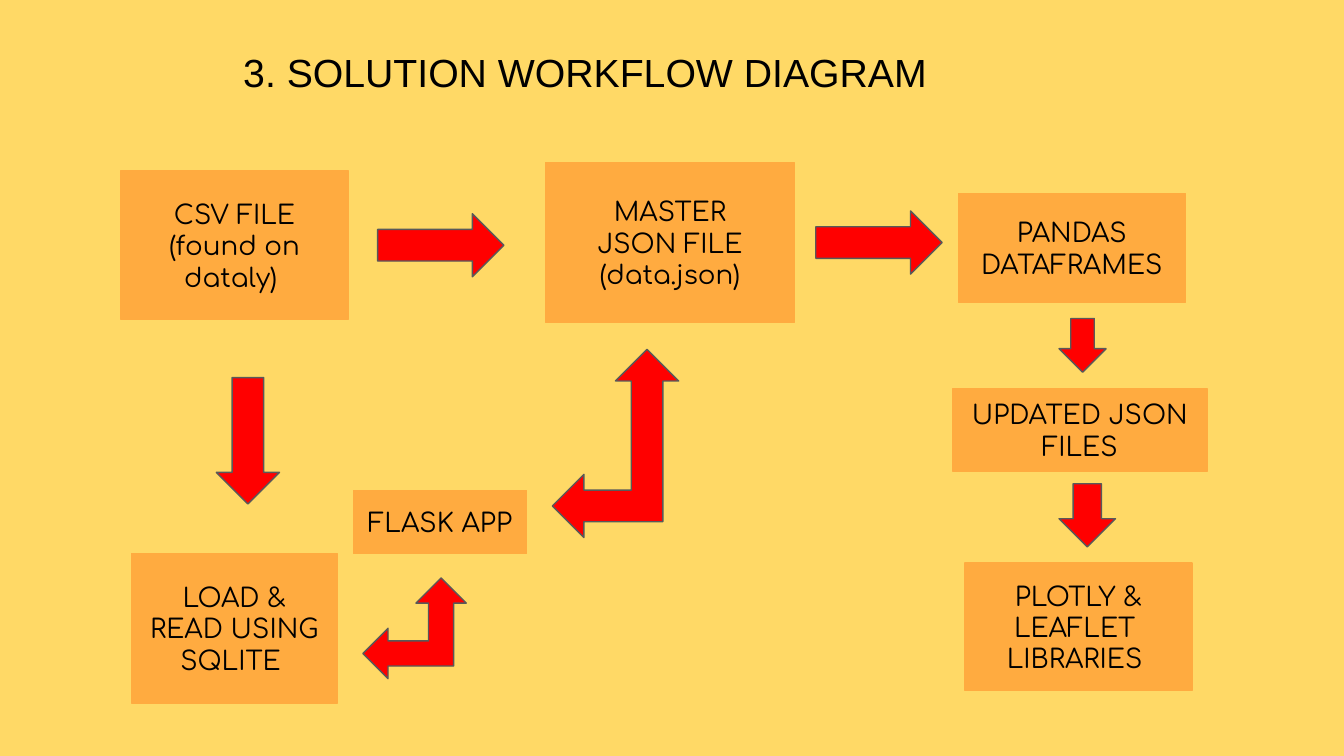
from pptx import Presentation
from pptx.dml.color import RGBColor
from pptx.enum.shapes import MSO_SHAPE
from pptx.enum.text import MSO_ANCHOR, PP_ALIGN
from pptx.util import Inches, Pt

YELLOW = RGBColor(0xFF, 0xD9, 0x66)
ORANGE = RGBColor(0xFF, 0xAB, 0x40)
RED = RGBColor(0xFF, 0x00, 0x00)
GREY = RGBColor(0x59, 0x59, 0x59)
BLACK = RGBColor(0x00, 0x00, 0x00)

TITLE_FORMAT = {"name": "Arial", "size": Pt(21)}
STEP_FORMAT = {"name": "Comfortaa", "size": Pt(14)}

# Steps: left, top, width, height, paragraphs
STEPS = [
    (0.9, 1.27, 1.69, 1.11, ["CSV FILE", "(found on dataly) "]),
    (0.98, 4.12, 1.53, 1.11, ["LOAD & READ USING", "SQLITE "]),
    (2.63, 3.65, 1.29, 0.47, ["FLASK APP"]),
    (4.06, 1.21, 1.85, 1.19, ["MASTER", "JSON FILE", "(data.json)"]),
    (7.13, 1.44, 1.69, 0.81, ["PANDAS DATAFRAMES"]),
    (7.09, 2.89, 1.89, 0.62, ["UPDATED JSON FILES"]),
    (7.18, 4.19, 1.69, 0.95, ["PLOTLY &", "LEAFLET ", "LIBRARIES "]),
]

# Arrows: preset, left, top, width, height
ARROWS = [
    (MSO_SHAPE.DOWN_ARROW, 1.61, 2.81, 0.47, 0.94),
    (MSO_SHAPE.LEFT_UP_ARROW, 2.7, 4.3, 0.77, 0.75),
    (MSO_SHAPE.LEFT_UP_ARROW, 4.11, 2.6, 0.94, 1.4),
    (MSO_SHAPE.RIGHT_ARROW, 2.81, 1.59, 0.94, 0.47),
    (MSO_SHAPE.RIGHT_ARROW, 6.07, 1.57, 0.94, 0.47),
    (MSO_SHAPE.DOWN_ARROW, 7.88, 2.37, 0.35, 0.4),
    (MSO_SHAPE.DOWN_ARROW, 7.88, 3.6, 0.42, 0.47),
]


def write_text(frame, lines, font_format, alignment, anchor, left_inset=0.1):
    frame_format = {
        "word_wrap": True,
        "vertical_anchor": anchor,
        "margin_left": Inches(left_inset),
        "margin_right": Inches(0.1),
        "margin_top": Inches(0.1),
        "margin_bottom": Inches(0.1),
    }
    for key, value in frame_format.items():
        setattr(frame, key, value)
    frame.text = "\n".join(lines)
    for paragraph in frame.paragraphs:
        paragraph.alignment = alignment
        font = paragraph.runs[0].font
        for key, value in font_format.items():
            setattr(font, key, value)
        font.color.rgb = BLACK


def add_title(slide, text):
    title = slide.shapes.add_textbox(
        Inches(1.55), Inches(0.26), Inches(7.12), Inches(0.75))
    write_text(title.text_frame, [text], TITLE_FORMAT, PP_ALIGN.LEFT,
               MSO_ANCHOR.TOP, left_inset=0.26)


def add_block(slide, preset, bounds, fill, outline):
    block = slide.shapes.add_shape(preset, *map(Inches, bounds))
    block.shadow.inherit = False
    block.fill.solid()
    block.fill.fore_color.rgb = fill
    block.line.color.rgb = outline
    block.line.width = Pt(0.75)
    return block


def add_step(slide, bounds, lines):
    step = add_block(slide, MSO_SHAPE.RECTANGLE, bounds, ORANGE, ORANGE)
    write_text(step.text_frame, lines, STEP_FORMAT, PP_ALIGN.CENTER,
               MSO_ANCHOR.MIDDLE)


def main():
    # Widescreen slide, 16:9
    presentation = Presentation()
    presentation.slide_width = Inches(10)
    presentation.slide_height = Inches(10) * 9 // 16
    slide = presentation.slides.add_slide(presentation.slide_layouts[6])

    # Background and title
    slide.background.fill.solid()
    slide.background.fill.fore_color.rgb = YELLOW
    add_title(slide, "3. SOLUTION WORKFLOW DIAGRAM")

    # Workflow steps
    for *bounds, lines in STEPS:
        add_step(slide, bounds, lines)

    # Arrows between the steps
    for preset, *bounds in ARROWS:
        add_block(slide, preset, bounds, RED, GREY)

    presentation.save("out.pptx")


if __name__ == "__main__":
    main()
